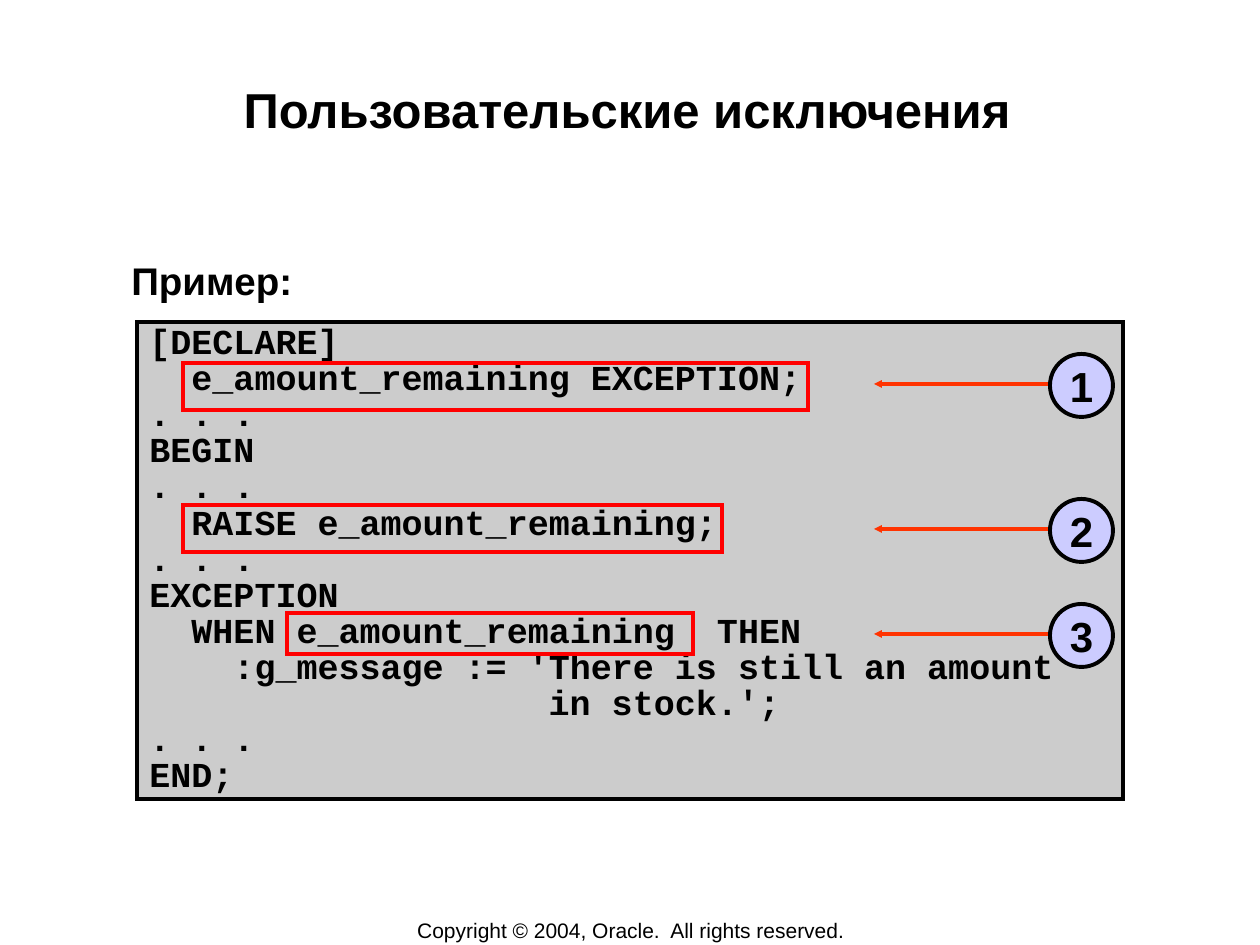
import pptx
import pptx.util
import pptx.dml.color
import pptx.enum.shapes
import pptx.enum.text
import pptx.oxml.ns
from lxml import etree

# Content
TITLE = "Пользовательские исключения"
LEAD = "Пример:"
COPYRIGHT = "Copyright © 2004, Oracle.  All rights reserved."
CODE = [
    "[DECLARE]",
    "  e_amount_remaining EXCEPTION;",
    ". . .",
    "BEGIN",
    ". . .",
    "  RAISE e_amount_remaining;",
    ". . .",
    "EXCEPTION",
    "  WHEN e_amount_remaining  THEN",
    "    :g_message := 'There is still an amount",
    "\t             in stock.';",
    ". . .",
    "END;",
]
# Marked code (left, top, width, height), arrow end x, circle top
STEPS = [
    {"label": "1", "mark": (183, 363, 625, 47), "end": 1050, "top": 354},
    {"label": "2", "mark": (183, 505, 539, 47), "end": 1061, "top": 499},
    {"label": "3", "mark": (287, 613, 406, 41), "end": 1071, "top": 604},
]

# Places in px, 126 to the inch
SLIDE = (1260, 945)
TITLE_BOX = (123, 73, 1008, 121)
LEAD_BOX = (119, 251, 1016, 59)
CODE_BOX = (137, 322, 986, 477)
COPYRIGHT_BOX = (348, 917, 566, 27)
ARROW_X, CIRCLE_X, CIRCLE = 874, 1050, 63
CODE_TAB = 126

THEME = {
    "ink": "000000", "panel": "CCCCCC", "mark": "FF0000",
    "arrow": "FF3300", "circle": "CCCCFF", "line": 2.25,
    "title": {"name": "Arial", "size": 28, "bold": True},
    "lead": {"name": "Arial", "size": 22, "bold": True},
    "code": {"name": "Courier New", "size": 20, "bold": True},
    "label": {"name": "Arial", "size": 24, "bold": True},
    "copyright": {"name": "Arial", "size": 12, "bold": False},
}
ALIGN = pptx.enum.text.PP_ALIGN
ANCHOR = pptx.enum.text.MSO_ANCHOR
SHAPE = pptx.enum.shapes.MSO_SHAPE
SCALE = 914400 / 126
qn = pptx.oxml.ns.qn


def px(*values):
    return [round(v * SCALE) for v in values]


def color(name):
    return pptx.dml.color.RGBColor.from_string(THEME[name])


def set_line(line, name):
    line.color.rgb = color(name)
    line.width = pptx.util.Pt(THEME["line"])
    ln = line._get_or_add_ln()
    etree.SubElement(ln, qn("a:miter"), lim="800000")
    return ln


def add_tab(p, position):
    tabs = etree.SubElement(p._p.get_or_add_pPr(), qn("a:tabLst"))
    etree.SubElement(tabs, qn("a:tab"), pos=str(px(position)[0]), algn="l")


def write(sp, lines, style, para=None, **frame):
    tf = sp.text_frame
    settings = {"word_wrap": True, "vertical_anchor": ANCHOR.TOP,
                "auto_size": pptx.enum.text.MSO_AUTO_SIZE.NONE, **frame}
    for key, value in settings.items():
        setattr(tf, key, value)
    for i, text in enumerate(lines):
        p = tf.paragraphs[0] if i == 0 else tf.add_paragraph()
        for key, value in {"alignment": ALIGN.LEFT, **(para or {})}.items():
            setattr(p, key, value)
        if i == 0:
            p.space_before = pptx.util.Pt(0)
        if "\t" in text:
            add_tab(p, CODE_TAB)
        r = p.add_run()
        r.text = text
        for key, value in THEME[style].items():
            setattr(r.font, key, pptx.util.Pt(value) if key == "size" else value)
        r.font.color.rgb = color("ink")


def add_shape(s, kind, box, fill, line):
    sp = s.shapes.add_shape(kind, *px(*box))
    sp.shadow.inherit = False
    if fill:
        sp.fill.solid()
        sp.fill.fore_color.rgb = color(fill)
    else:
        sp.fill.background()
    set_line(sp.line, line)
    return sp


def add_arrow(s, x1, x2, y):
    cn = s.shapes.add_connector(pptx.enum.shapes.MSO_CONNECTOR.STRAIGHT,
                                *px(x1, y, x2, y))
    ln = set_line(cn.line, "arrow")
    etree.SubElement(ln, qn("a:headEnd"), type="triangle", w="sm", len="sm")
    etree.SubElement(cn._element.spPr, qn("a:effectLst"))


def main():
    prs = pptx.Presentation()
    prs.slide_width, prs.slide_height = px(*SLIDE)
    s = prs.slides.add_slide(prs.slide_layouts[5])
    centred = {"alignment": ALIGN.CENTER}

    # Title, lead-in and copyright line
    title = s.shapes.title
    for key, value in zip(("left", "top", "width", "height"), px(*TITLE_BOX)):
        setattr(title, key, value)
    write(title, [TITLE], "title", centred)
    write(s.shapes.add_textbox(*px(*LEAD_BOX)), [LEAD], "lead")
    write(s.shapes.add_textbox(*px(*COPYRIGHT_BOX)), [COPYRIGHT], "copyright",
          centred, vertical_anchor=ANCHOR.MIDDLE, word_wrap=False)

    # Code panel
    panel = add_shape(s, SHAPE.RECTANGLE, CODE_BOX, "panel", "ink")
    write(panel, CODE, "code",
          {"line_spacing": 0.6, "space_before": pptx.util.Pt(6.2)},
          margin_top=pptx.util.Inches(0.1))

    # Marks and arrows, then numbered circles over the arrow ends
    for step in STEPS:
        add_shape(s, SHAPE.RECTANGLE, step["mark"], None, "mark")
        add_arrow(s, ARROW_X, step["end"], step["top"] + 30)
    for step in STEPS:
        circle = add_shape(s, SHAPE.OVAL, (CIRCLE_X, step["top"], CIRCLE, CIRCLE),
                           "circle", "ink")
        write(circle, [step["label"]], "label", centred,
              vertical_anchor=ANCHOR.MIDDLE, word_wrap=False)

    prs.save("out.pptx")


if __name__ == "__main__":
    main()
